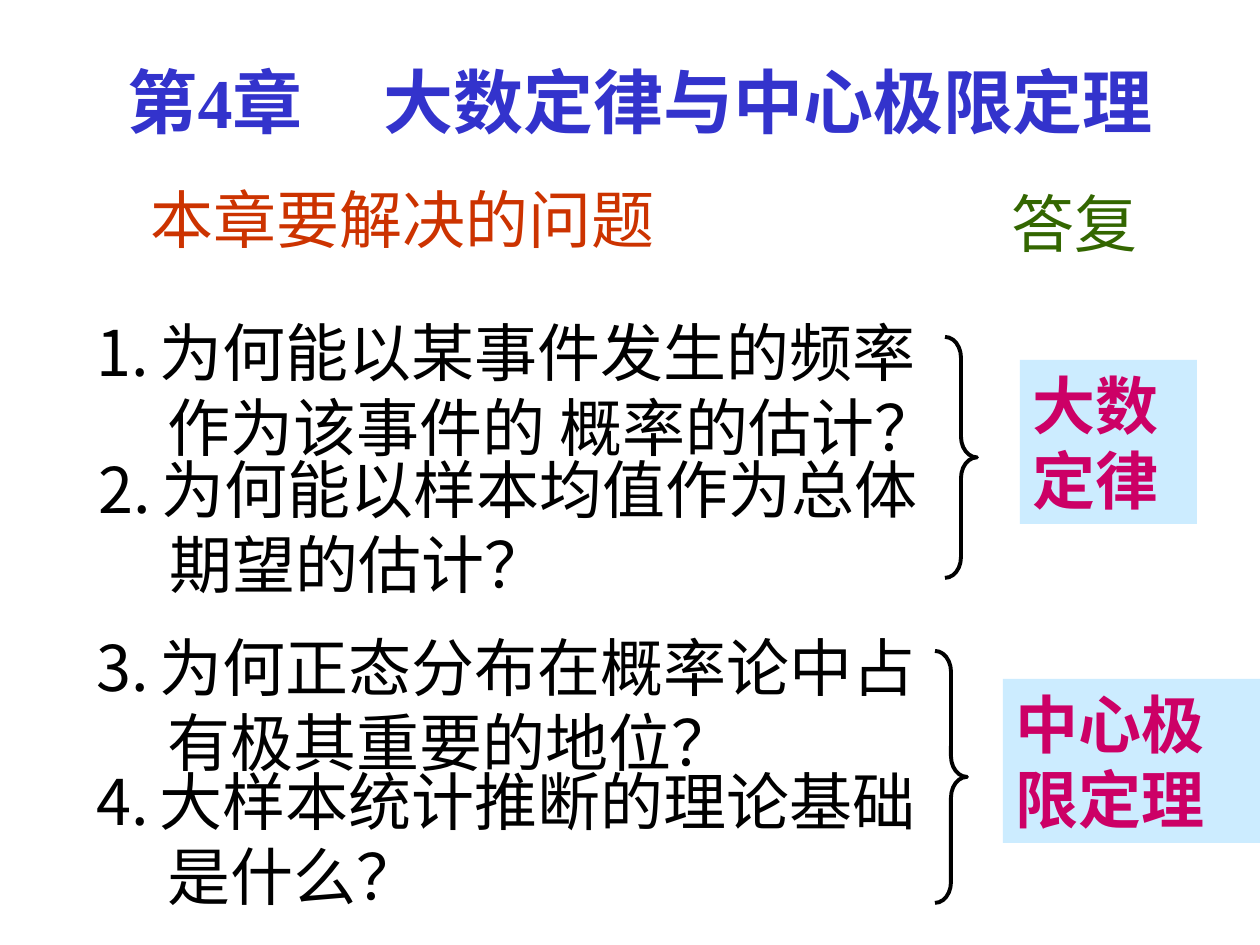
from lxml import etree
from pptx import Presentation
from pptx.dml.color import RGBColor
from pptx.enum.shapes import MSO_SHAPE
from pptx.enum.text import MSO_ANCHOR, MSO_AUTO_SIZE, PP_ALIGN
from pptx.oxml.ns import qn
from pptx.util import Emu, Pt

RECT, BRACE = MSO_SHAPE.RECTANGLE, MSO_SHAPE.RIGHT_BRACE
TOP, LEFT, NO_FIT = MSO_ANCHOR.TOP, PP_ALIGN.LEFT, MSO_AUTO_SIZE.NONE
PX = 914400 // 126
SERIF, SANS = "Times New Roman", "Noto Sans CJK SC"
BLUE, RED, GREEN = "3333CC", "CC3300", "336600"
BLACK, PINK, SKY = "000000", "CC0066", "CCECFF"

QUESTIONS = [
    ((84, 307, 876, 164), ["为何能以某事件发生的频率", "作为该事件的 概率的估计？"]),
    ((86, 444, 844, 164), ["为何能以样本均值作为总体", "期望的估计？"]),
    ((84, 622, 844, 164), ["为何正态分布在概率论中占", "有极其重要的地位？"]),
    ((84, 756, 844, 164), ["大样本统计推断的理论基础", "是什么？"]),
]
ANSWERS = [
    ((945, 337, 32, 241), (1020, 360, 177, 164), ["大数", "定律"]),
    ((935, 651, 32, 252), (1003, 679, 257, 164), ["中心极", "限定理"]),
]


def px(*lengths):
    """Turn pixel lengths into EMU."""
    return [Emu(n * PX) for n in lengths]


def rgb(color):
    """Turn a hex string into a colour."""
    return RGBColor.from_string(color)


def place(s, box):
    """Move a shape to a pixel box."""
    s.left, s.top, s.width, s.height = px(*box)


def add_before_font(p, tag, **attrs):
    """Add a paragraph property ahead of the default font."""
    el = etree.Element(qn(tag), attrs)
    p._p.pPr.find(qn("a:defRPr")).addprevious(el)
    return el


def write(s, lines, size, color, font=SERIF, bold=False):
    """Write lines as paragraphs with one font and return them."""
    tf = s.text_frame
    tf.auto_size, tf.word_wrap, tf.vertical_anchor = NO_FIT, True, TOP
    tf.text = "\n".join(lines)
    for p in tf.paragraphs:
        p.alignment, p.space_before = LEFT, Pt(0)
        p.font.name, p.font.size, p.font.bold = font, Pt(size), bold
        p.font.color.rgb = rgb(color)
        default = p._p.pPr.find(qn("a:defRPr"))
        etree.SubElement(default, qn("a:ea"), typeface=SANS)
    return tf.paragraphs


def add_title(s, box):
    """Fill the title, with a tab between chapter number and name."""
    place(s, box)
    p, = write(s, ["第4章\t大数定律与中心极限定理"], 40, BLUE, bold=True)
    tabs = add_before_font(p, "a:tabLst")
    etree.SubElement(tabs, qn("a:tab"), pos=str(256 * PX), algn="l")


def add_heading(slide, box, text, color):
    """Add a column heading."""
    s = slide.shapes.add_textbox(*px(*box))
    write(s, [text], 36, color, SANS)


def add_question(s, box, number, lines):
    """Fill a body placeholder with a numbered two-line question."""
    place(s, box)
    first, second = write(s, lines, 36, BLACK)
    s.text_frame.margin_right = 0
    for p, margin, indent in ((first, 63, -63), (second, 71, 0)):
        p._p.pPr.set("marL", str(margin * PX))
        p._p.pPr.set("indent", str(indent * PX))
    add_before_font(first, "a:buFont", typeface=SANS)
    add_before_font(first, "a:buAutoNum", type="arabicPeriod", startAt=str(number))
    add_before_font(second, "a:buNone")


def add_answer(slide, brace_box, box, lines):
    """Add a brace and the theorem it points to."""
    brace = slide.shapes.add_shape(BRACE, *px(*brace_box))
    brace.shadow.inherit = False
    brace.adjustments[0] = 0.65
    brace.fill.background()
    brace.line.color.rgb = rgb(BLACK)
    brace.line.width = Pt(2.25)
    s = slide.shapes.add_shape(RECT, *px(*box))
    s.shadow.inherit = False
    s.fill.solid()
    s.fill.fore_color.rgb = rgb(SKY)
    s.line.fill.background()
    write(s, lines, 36, PINK, bold=True)


prs = Presentation()
prs.slide_width, prs.slide_height = px(1260, 945)
slide = prs.slides.add_slide(prs.slide_layouts[4])
title, *bodies = list(slide.placeholders)
add_title(title, (115, 52, 1103, 97))
add_heading(slide, (138, 174, 584, 88), "本章要解决的问题", RED)
add_heading(slide, (999, 178, 166, 88), "答复", GREEN)
for number, (body, (box, lines)) in enumerate(zip(bodies, QUESTIONS), 1):
    add_question(body, box, number, lines)
for answer in ANSWERS:
    add_answer(slide, *answer)
prs.save("out.pptx")
